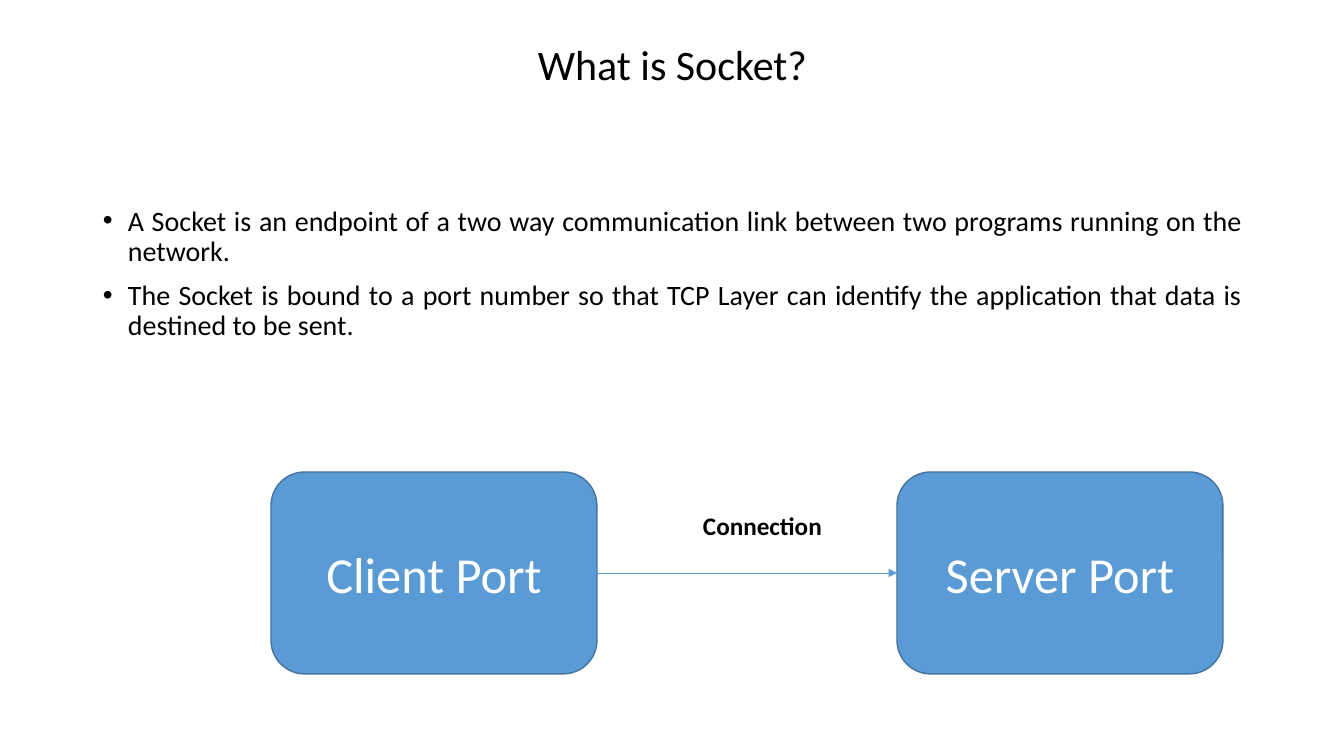
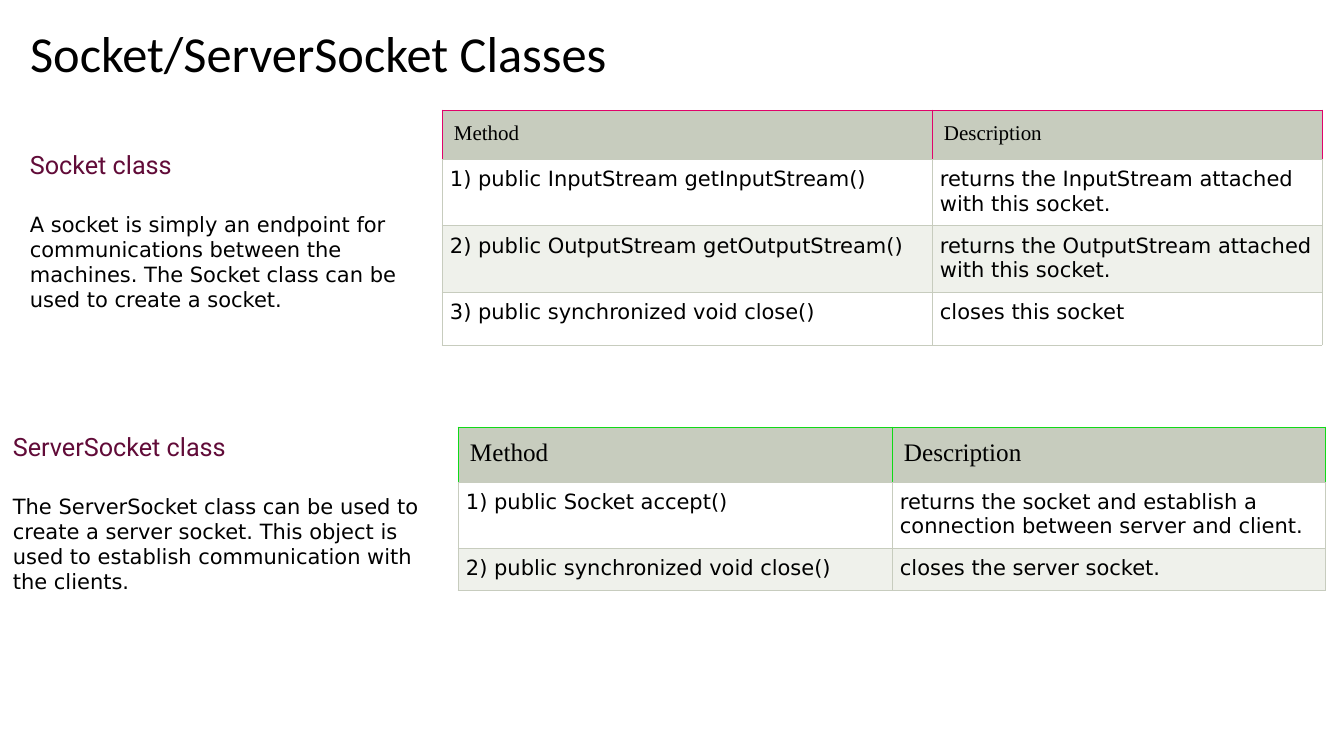
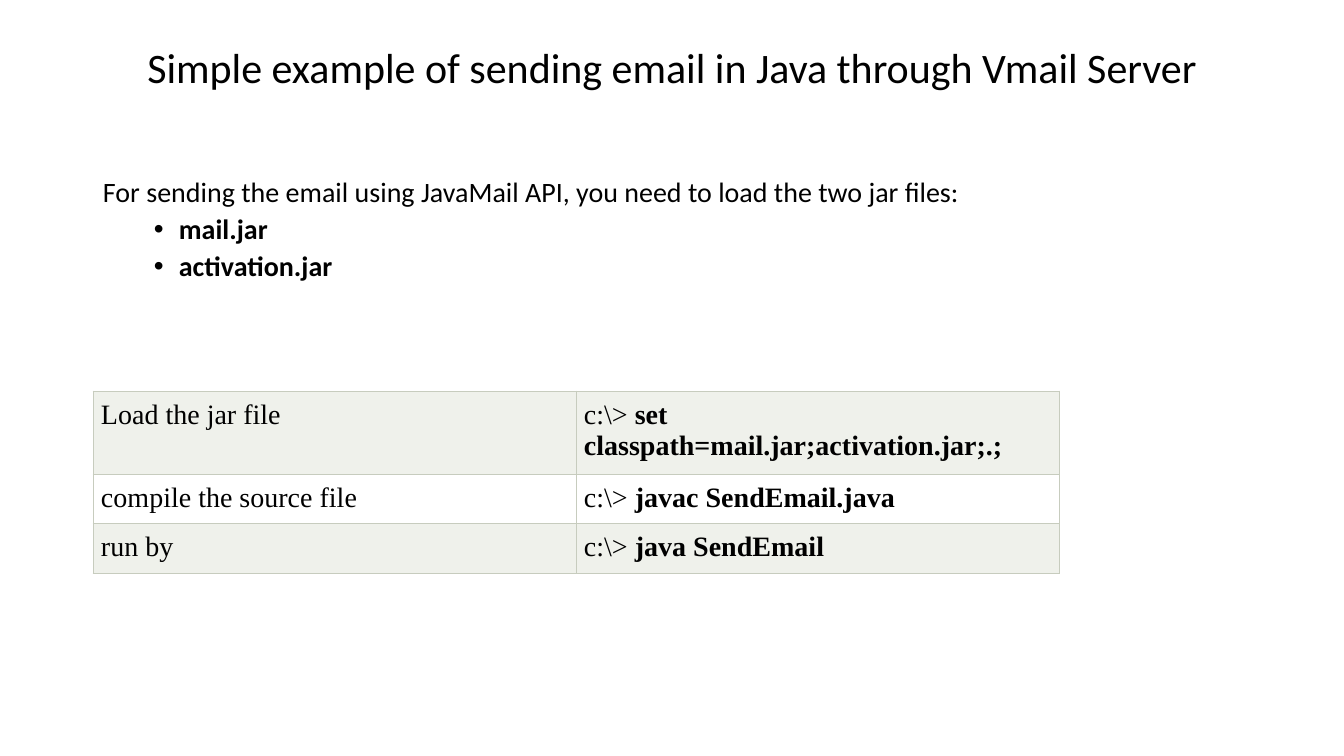
"""Build three slides on sockets and sending email in Java."""
from lxml import etree
from pptx import Presentation
from pptx import util as u
from pptx.dml.color import RGBColor
from pptx.enum import shapes, text
from pptx.oxml import ns

PX = 9072
BLACK, WHITE, BLUE, NAVY = "000000", "FFFFFF", "5B9BD5", "43739E"
MAROON, SAGE, PALE = "610B38", "C7CCBE", "EFF1EB"
SANS, SERIF, WIDE, HEADING = "Calibri", "Times New Roman", "DejaVu Sans", "Roboto"
rgb = RGBColor.from_string


def write(para, words, size, font=SANS, colour=BLACK, bold=False):
    span = para.add_run()
    span.text = words
    span.font.size = u.Pt(size)
    span.font.name = font
    span.font.bold = bold
    span.font.color.rgb = rgb(colour)


def add_bullet(para, indent):
    props = para._p.get_or_add_pPr()
    props.set("marL", str(indent * PX))
    props.set("indent", str(-25 * PX))
    font = etree.SubElement(props, ns.qn("a:buFont"))
    font.set("typeface", "Arial")
    etree.SubElement(props, ns.qn("a:buChar")).set("char", "•")


deck = Presentation()
deck.slide_width, deck.slide_height = 1344 * PX, 756 * PX

titles = [
    ("What is Socket?", 30, text.PP_ALIGN.CENTER, (93, 40, 1159, 54)),
    ("Socket/ServerSocket Classes", 36, text.PP_ALIGN.LEFT, (20, 18, 637, 76)),
    ("Simple example of sending email in Java through Vmail Server", 30,
     text.PP_ALIGN.CENTER, (93, 40, 1159, 60)),
]
pages = []
for words, size, align, place in titles:
    page = deck.slides.add_slide(deck.slide_layouts[5])
    title = page.shapes.title
    title.left, title.top, title.width, title.height = [n * PX for n in place]
    frame = title.text_frame
    frame.auto_size = text.MSO_AUTO_SIZE.NONE
    frame.vertical_anchor = text.MSO_ANCHOR.MIDDLE
    para = frame.paragraphs[0]
    para.alignment = align
    para.line_spacing = 0.9
    write(para, words, size)
    pages.append(page)
socket_page, class_page, mail_page = pages

body = socket_page.shapes.add_textbox(93 * PX, 202 * PX, 1159 * PX, 218 * PX)
body.text_frame.word_wrap = True
facts = [
    "A Socket is an endpoint of a two way communication link between two "
    "programs running on the network.",
    "The Socket is bound to a port number so that TCP Layer can identify "
    "the application that data is destined to be sent.",
]
for index, fact in enumerate(facts):
    para = body.text_frame.add_paragraph() if index else body.text_frame.paragraphs[0]
    para.alignment = text.PP_ALIGN.JUSTIFY
    para.line_spacing = 0.9
    para.space_before = u.Pt(10)
    add_bullet(para, 25)
    write(para, fact, 20)

for label, left in [("Client Port", 271), ("Server Port", 897)]:
    port = socket_page.shapes.add_shape(
        shapes.MSO_SHAPE.ROUNDED_RECTANGLE, left * PX, 472 * PX, 326 * PX, 202 * PX)
    port.shadow.inherit = False
    port.fill.solid()
    port.fill.fore_color.rgb = rgb(BLUE)
    port.line.color.rgb = rgb(NAVY)
    port.line.width = u.Pt(1)
    port.text_frame.vertical_anchor = text.MSO_ANCHOR.MIDDLE
    para = port.text_frame.paragraphs[0]
    para.alignment = text.PP_ALIGN.CENTER
    write(para, label, 36, colour=WHITE)

arrow = socket_page.shapes.add_connector(
    shapes.MSO_CONNECTOR.STRAIGHT, 597 * PX, 573 * PX, 897 * PX, 573 * PX)
arrow.line.color.rgb = rgb(BLUE)
arrow.line.width = u.Pt(0.5)
etree.SubElement(arrow.line._get_or_add_ln(), ns.qn("a:tailEnd")).set("type", "triangle")
etree.SubElement(arrow._element.spPr, ns.qn("a:effectLst"))

caption = socket_page.shapes.add_textbox(693 * PX, 505 * PX, 139 * PX, 40 * PX)
caption.text_frame.word_wrap = False
write(caption.text_frame.paragraphs[0], "Connection", 18, bold=True)

class_notes = [
    ("Socket class",
     "A socket is simply an endpoint for communications between the machines. "
     "The Socket class can be used to create a socket.", (20, 144, 390, 203)),
    ("ServerSocket class",
     "The ServerSocket class can be used to create a server socket. This object "
     "is used to establish communication with the clients.", (3, 426, 430, 173)),
]
for name, note, place in class_notes:
    box = class_page.shapes.add_textbox(*[n * PX for n in place])
    box.text_frame.word_wrap = True
    write(box.text_frame.paragraphs[0], name, 18, HEADING, MAROON)
    para = box.text_frame.add_paragraph()
    para.space_before = u.Pt(23)
    write(para, note, 15, WIDE)

body = mail_page.shapes.add_textbox(93 * PX, 173 * PX, 1159 * PX, 117 * PX)
body.text_frame.word_wrap = True
para = body.text_frame.paragraphs[0]
para.line_spacing = 0.9
para.space_before = u.Pt(10)
write(para, "For sending the email using JavaMail API, you need to load the two jar files:", 20)
for jar in ["mail.jar", "activation.jar"]:
    para = body.text_frame.add_paragraph()
    para.level = 1
    para.line_spacing = 0.9
    para.space_before = u.Pt(5)
    add_bullet(para, 76)
    write(para, jar, 20, bold=True)

header = ("Method", "Description")
prompt = "c:\\>\u00a0"
tables = [
    (class_page, (442, 110), (490, 390), (48, 66, 66, 53), 15, WIDE, 15, "E0036A", [
        header,
        ("1) public InputStream getInputStream()",
         "returns the InputStream attached with this socket."),
        ("2) public OutputStream getOutputStream()",
         "returns the OutputStream attached with this socket."),
        ("3) public synchronized void close()", "closes this socket")]),
    (class_page, (458, 427), (434, 434), (55, 66, 42), 15, WIDE, 18, "10D917", [
        header,
        ("1) public Socket accept()",
         "returns the socket and establish a connection between server and client."),
        ("2) public synchronized void close()", "closes the server socket.")]),
    (mail_page, (93, 391), (483, 483), (79, 48, 48), 20, SERIF, 20, SAGE, [
        ("Load the jar file", prompt + "set classpath=mail.jar;activation.jar;.;"),
        ("compile the source file", prompt + "javac SendEmail.java"),
        ("run by", prompt + "java SendEmail")]),
]
for page, (left, top), widths, heights, size, font, head_size, head_edge, rows in tables:
    grid = page.shapes.add_table(
        len(rows), len(widths), left * PX, top * PX, sum(widths) * PX, sum(heights) * PX).table
    for column, width in zip(grid.columns, widths):
        column.width = width * PX
    for row, height in zip(grid.rows, heights):
        row.height = height * PX
    for r, entries in enumerate(rows):
        is_head = entries == header
        for c, entry in enumerate(entries):
            cell = grid.cell(r, c)
            inset = (12 if is_head else 8) * PX
            cell.margin_left = cell.margin_right = inset
            cell.margin_top = cell.margin_bottom = inset
            for side in "LRTB":
                edge = etree.SubElement(cell._tc.get_or_add_tcPr(), ns.qn("a:ln" + side))
                edge.set("w", str(u.Pt(0.75)))
                paint = etree.SubElement(edge, ns.qn("a:solidFill"))
                tint = head_edge if is_head and side != "B" else SAGE
                etree.SubElement(paint, ns.qn("a:srgbClr")).set("val", tint)
            cell.fill.solid()
            banded = r % 2 == (0 if rows[0] == header else 0)
            cell.fill.fore_color.rgb = rgb(SAGE if is_head else PALE if banded else WHITE)
            para = cell.text_frame.paragraphs[0]
            if is_head:
                write(para, entry, head_size, SERIF)
            elif entry.startswith(prompt):
                write(para, prompt, size, font)
                write(para, entry.removeprefix(prompt), size, font, bold=True)
            else:
                write(para, entry, size, font)

deck.save("out.pptx")
